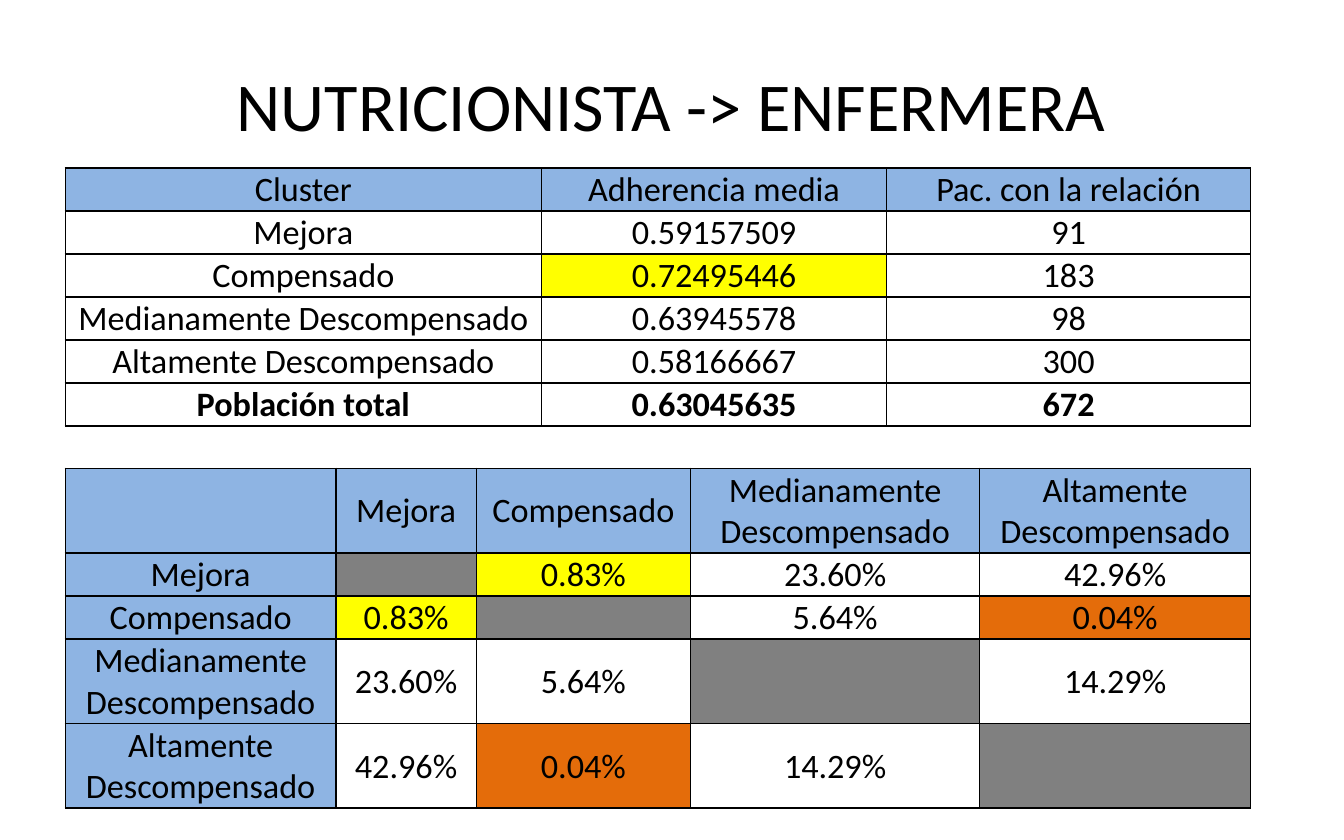
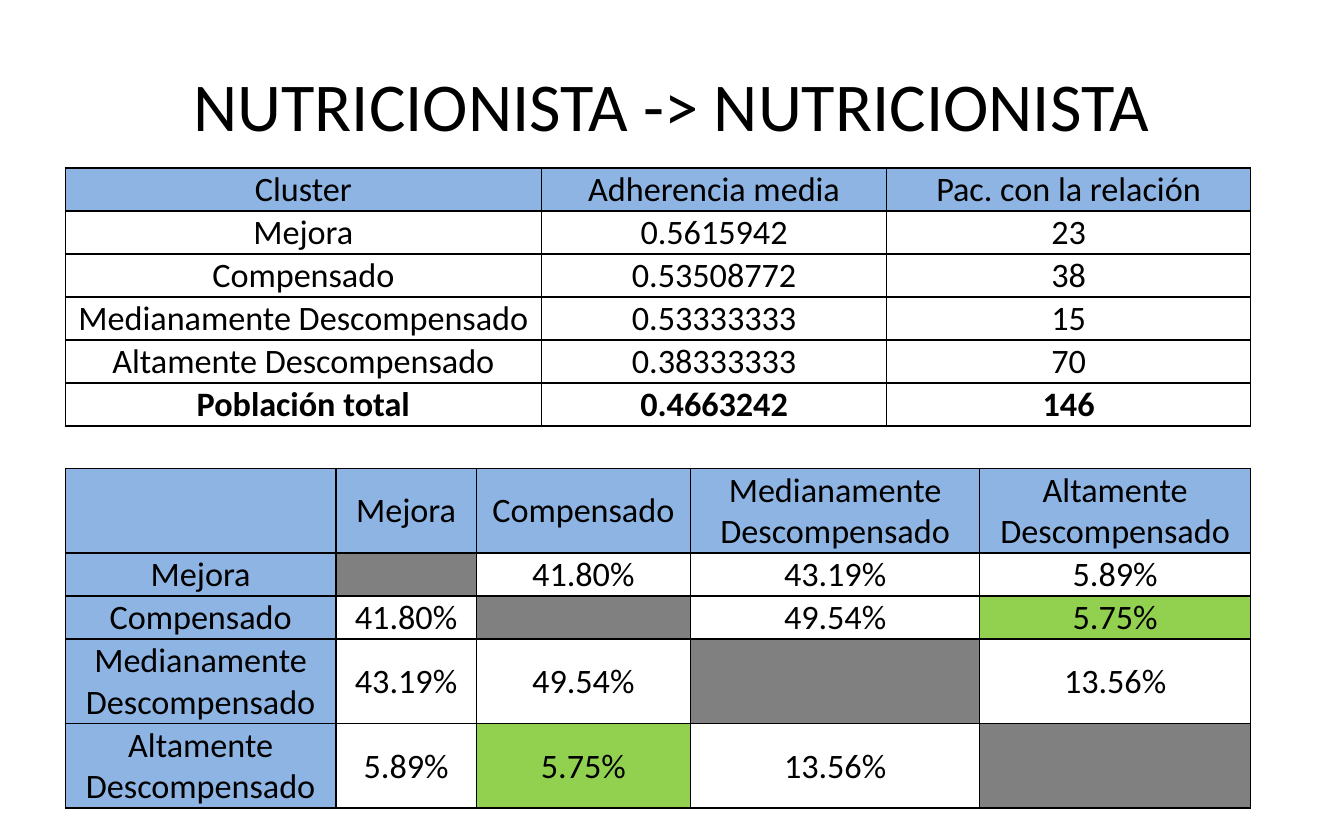
from dataclasses import dataclass
from itertools import combinations

from lxml.etree import SubElement
from pptx import Presentation
from pptx.dml.color import RGBColor
from pptx.enum.text import MSO_ANCHOR, PP_ALIGN
from pptx.oxml.ns import qn
from pptx.util import Cm, Pt


@dataclass(frozen=True)
class Theme:
    font: str = "Calibri"
    title: int = 44
    body: int = 22
    edge: int = 1
    ink: str = "000000"
    plain: str = "FFFFFF"
    head: str = "8EB4E3"
    self_pair: str = "808080"
    yellow: str = "FFFF00"
    orange: str = "E46C0A"
    green: str = "92D050"


THEME = Theme()
LEFT = 1.48
LINE, DOUBLE = 0.97, 1.91
CLUSTERS = ["Mejora", "Compensado", "Medianamente Descompensado",
            "Altamente Descompensado"]
HEADS = ["Cluster", "Adherencia media", "Pac. con la relación"]

# Pair values follow combinations(range(4), 2); marks are keyed by cluster index.
RELATIONS = [
    {
        "title": "NUTRICIONISTA -> ENFERMERA",
        "means": ["0.59157509", "0.72495446", "0.63945578", "0.58166667", "0.63045635"],
        "counts": [91, 183, 98, 300, 672],
        "pairs": ["0.83%", "23.60%", "42.96%", "5.64%", "0.04%", "14.29%"],
        "mean_marks": {1: THEME.yellow},
        "pair_marks": {(0, 1): THEME.yellow, (1, 3): THEME.orange},
    },
    {
        "title": "NUTRICIONISTA -> NUTRICIONISTA",
        "means": ["0.5615942", "0.53508772", "0.53333333", "0.38333333", "0.4663242"],
        "counts": [23, 38, 15, 70, 146],
        "pairs": ["41.80%", "43.19%", "5.89%", "49.54%", "5.75%", "13.56%"],
        "mean_marks": {},
        "pair_marks": {(1, 3): THEME.green},
    },
]


def write(frame, text, size=THEME.body, bold=False, color=THEME.ink):
    par = frame.paragraphs[0]
    par.alignment = PP_ALIGN.CENTER
    font = par.font
    if text:
        run = par.add_run()
        run.text = text
        font = run.font
    font.name = THEME.font
    font.size = Pt(size)
    font.bold = bold
    font.color.rgb = RGBColor.from_string(color)


def outline(cell):
    props = cell._tc.get_or_add_tcPr()
    for side in ("lnL", "lnR", "lnT", "lnB"):
        line = SubElement(props, qn(f"a:{side}"), w=str(Pt(THEME.edge)))
        fill = SubElement(line, qn("a:solidFill"))
        SubElement(fill, qn("a:srgbClr"), val=THEME.ink)


def dress(cell, text, fill=THEME.plain, bold=False, anchor=MSO_ANCHOR.MIDDLE):
    write(cell.text_frame, text, bold=bold)
    cell.vertical_anchor = anchor
    cell.margin_left = cell.margin_right = cell.margin_top = Cm(0.03)
    cell.margin_bottom = 0
    outline(cell)
    cell.fill.solid()
    cell.fill.fore_color.rgb = RGBColor.from_string(fill)


def add_grid(slide, top, widths, heights):
    frame = slide.shapes.add_table(len(heights), len(widths), Cm(LEFT), Cm(top),
                                   Cm(sum(widths)), Cm(sum(heights)))
    table = frame.table
    table.first_row = table.horz_banding = False
    for col, width in zip(table.columns, widths):
        col.width = Cm(width)
    for row, height in zip(table.rows, heights):
        row.height = Cm(height)
    return table


def add_title(slide, text):
    title = slide.shapes.title
    title.left, title.top = Cm(1.52), Cm(0.76)
    title.width, title.height = Cm(27.43), Cm(3.18)
    title.text_frame.vertical_anchor = MSO_ANCHOR.MIDDLE
    write(title.text_frame, text, size=THEME.title)


def add_pairs(slide, values, marks):
    """Symmetric table of clusters against clusters, grey on the diagonal."""
    table = add_grid(slide, 10.62, [6.14, 3.18, 4.86, 6.56, 6.14],
                     [DOUBLE, LINE, LINE, DOUBLE, DOUBLE])
    dress(table.cell(0, 0), "", THEME.head)
    for i, name in enumerate(CLUSTERS):
        dress(table.cell(0, i + 1), name, THEME.head)
        dress(table.cell(i + 1, 0), name, THEME.head)
        dress(table.cell(i + 1, i + 1), "", THEME.self_pair)
    for (i, j), value in zip(combinations(range(len(CLUSTERS)), 2), values):
        fill = marks.get((i, j), THEME.plain)
        dress(table.cell(i + 1, j + 1), value, fill)
        dress(table.cell(j + 1, i + 1), value, fill)


def add_means(slide, means, counts, marks):
    names = CLUSTERS + ["Población total"]
    table = add_grid(slide, 3.81, [10.8, 7.83, 8.25], [LINE] * (len(names) + 1))
    for col, head in enumerate(HEADS):
        dress(table.cell(0, col), head, THEME.head)
    for i, (name, mean, count) in enumerate(zip(names, means, counts)):
        bold = i == len(CLUSTERS)
        low = MSO_ANCHOR.BOTTOM
        dress(table.cell(i + 1, 0), name, bold=bold)
        dress(table.cell(i + 1, 1), mean, marks.get(i, THEME.plain), bold, low)
        dress(table.cell(i + 1, 2), str(count), bold=bold, anchor=low)


def main():
    deck = Presentation()
    deck.slide_width, deck.slide_height = Cm(30.48), Cm(19.05)
    for rel in RELATIONS:
        slide = deck.slides.add_slide(deck.slide_layouts[5])
        add_title(slide, rel["title"])
        add_pairs(slide, rel["pairs"], rel["pair_marks"])
        add_means(slide, rel["means"], rel["counts"], rel["mean_marks"])
    deck.save("out.pptx")


if __name__ == "__main__":
    main()
